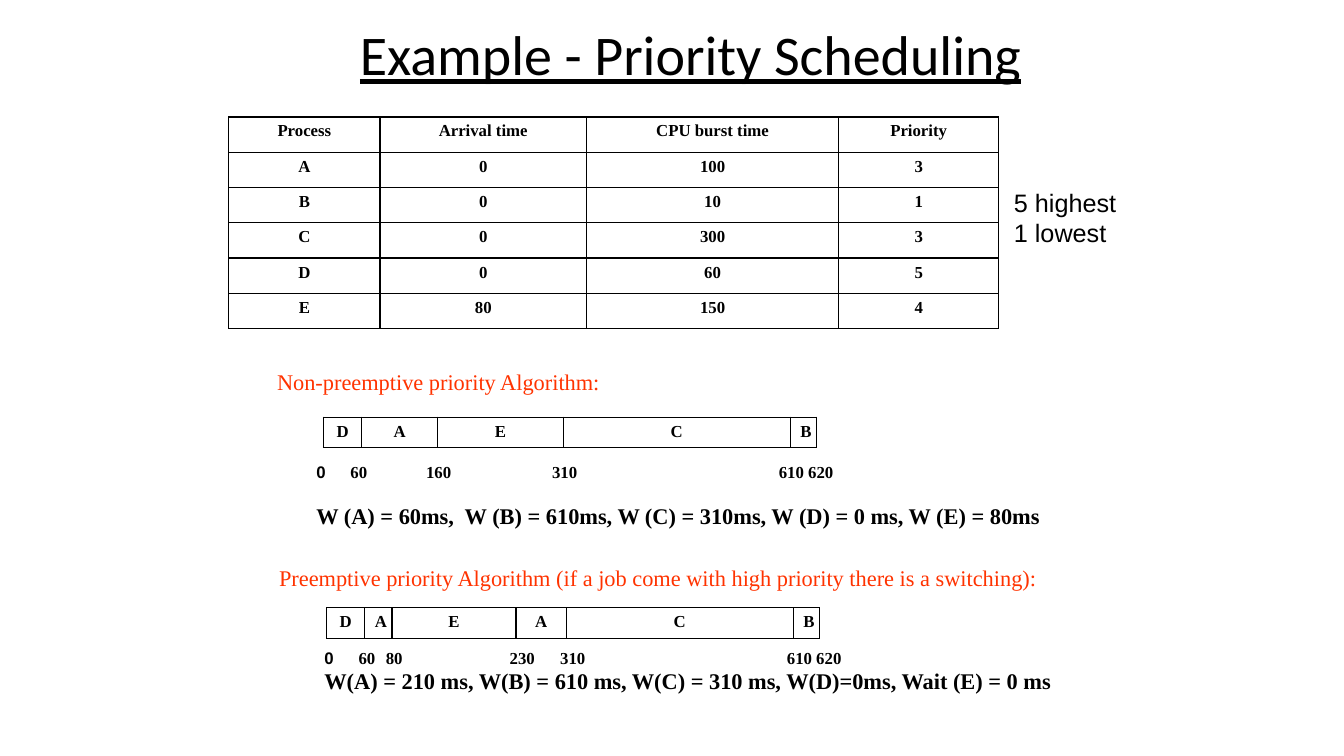
from dataclasses import dataclass
from itertools import accumulate

from lxml.etree import SubElement
from pptx import Presentation
from pptx.dml.color import RGBColor
from pptx.enum.text import MSO_ANCHOR, PP_ALIGN
from pptx.oxml.ns import qn
from pptx.util import Inches, Pt


@dataclass(frozen=True)
class Theme:
    ink: str = "000000"
    accent: str = "FF3300"
    title_font: str = "Calibri"
    body_font: str = "Times New Roman"
    note_font: str = "Arial"
    title_size: int = 40
    note_size: int = 18
    body_size: int = 16
    cell_size: int = 12
    border_width: int = 1


class SlideBuilder:
    """Places elements on a grid of 80 columns by 45 rows."""

    COLUMNS, ROWS = 80, 45

    def __init__(self, deck, theme):
        self.theme = theme
        self.slide = deck.slides.add_slide(deck.slide_layouts[6])
        self.column = deck.slide_width / self.COLUMNS
        self.row = deck.slide_height / self.ROWS

    def area(self, left, top, width, height):
        return (round(left * self.column), round(top * self.row),
                round(width * self.column), round(height * self.row))

    def style(self, paragraph, size, name=None, color=None, bold=False):
        font = paragraph.font
        font.size, font.bold = Pt(size), bold
        font.color.rgb = RGBColor.from_string(color or self.theme.ink)
        if name:
            font.name = name

    def frame(self, place, anchor=MSO_ANCHOR.MIDDLE, wrap=True):
        frame = self.slide.shapes.add_textbox(*self.area(*place)).text_frame
        frame.word_wrap = wrap
        frame.vertical_anchor = anchor
        return frame

    def title(self, text, place):
        heading = self.frame(place).paragraphs[0]
        heading.text = text
        heading.alignment = PP_ALIGN.CENTER
        self.style(heading, self.theme.title_size, self.theme.title_font)
        heading.font.underline = True

    def heading(self, text, place):
        heading = self.frame(place).paragraphs[0]
        heading.text = text
        self.style(heading, self.theme.body_size, self.theme.body_font,
                   self.theme.accent)

    def note(self, lines, place):
        frame = self.frame(place, MSO_ANCHOR.TOP, wrap=False)
        frame.text = "\n".join(lines)
        for line in frame.paragraphs:
            self.style(line, self.theme.note_size, self.theme.note_font)

    def table(self, rows, left, top, widths, row_height):
        place = self.area(left, top, sum(widths), row_height * len(rows))
        grid = self.slide.shapes.add_table(len(rows), len(widths), *place).table
        grid.first_row = grid.horz_banding = False
        for column, width in zip(grid.columns, widths):
            column.width = round(width * self.column)
        for row, values in zip(grid.rows, rows):
            row.height = round(row_height * self.row)
            for cell, value in zip(row.cells, values):
                self.cell(cell, value)

    def cell(self, cell, value):
        # Borders come before the fill in the cell properties
        properties = cell._tc.get_or_add_tcPr()
        for side in ("a:lnL", "a:lnR", "a:lnT", "a:lnB"):
            line = SubElement(properties, qn(side),
                              w=str(Pt(self.theme.border_width)))
            fill = SubElement(line, qn("a:solidFill"))
            SubElement(fill, qn("a:srgbClr"), val=self.theme.ink)
        cell.fill.background()
        label = cell.text_frame.paragraphs[0]
        label.text = value
        label.alignment = PP_ALIGN.CENTER
        self.style(label, self.theme.cell_size, self.theme.body_font, bold=True)

    def schedule(self, jobs, widths, times, waits, bar, caption, gap=0):
        """Gantt bar, its time scale on tab stops, and the waiting times."""
        self.table([jobs], *bar, widths, row_height=1.8)
        frame = self.frame(caption)
        scale = frame.paragraphs[0]
        tabs = SubElement(scale._p.get_or_add_pPr(), qn("a:tabLst"))
        for end in list(accumulate(widths))[:-1]:
            stop = round((end - 0.25) * self.column)
            SubElement(tabs, qn("a:tab"), pos=str(stop), algn="l")
        self.style(scale, self.theme.cell_size, bold=True)
        start, later = scale.add_run(), scale.add_run()
        start.text, start.font.name = "0", self.theme.note_font
        later.text = "".join("\t" + time for time in times)
        later.font.name = self.theme.body_font

        waiting = frame.add_paragraph()
        waiting.text = waits
        waiting.space_before = Pt(gap)
        self.style(waiting, self.theme.body_size, self.theme.body_font, bold=True)


def main():
    deck = Presentation()
    deck.slide_width, deck.slide_height = Inches(13.33), Inches(7.5)
    page = SlideBuilder(deck, Theme())

    # Title and process table
    page.title("Example - Priority Scheduling", (17.16, 0.42, 47.88, 5.52))
    processes = [
        ("Process", "Arrival time", "CPU burst time", "Priority"),
        ("A", "0", "100", "3"),
        ("B", "0", "10", "1"),
        ("C", "0", "300", "3"),
        ("D", "0", "60", "5"),
        ("E", "80", "150", "4"),
    ]
    page.table(processes, 13.62, 6.96, (9, 12.3, 15, 9.54), row_height=2.1)
    page.note(("5 highest", "1 lowest"), (59.76, 10.86, 7.38, 4.26))

    # Non-preemptive schedule
    page.heading("Non-preemptive priority Algorithm:", (15.9, 21.6, 22.62, 2.22))
    page.schedule(
        "DAECB", (2.28, 4.5, 7.5, 13.5, 1.56), ("60", "160", "310", "610 620"),
        "W (A) = 60ms,  W (B) = 610ms, W (C) = 310ms, W (D) = 0 ms, W (E) = 80ms",
        bar=(19.26, 24.84), caption=(18.24, 27.18, 45.18, 4.62), gap=14)

    # Preemptive schedule
    page.heading("Preemptive priority Algorithm (if a job come with high priority "
                 "there is a switching):", (16.02, 33.24, 52.08, 2.22))
    page.schedule(
        "DAEACB", (2.28, 1.62, 7.38, 3, 13.5, 1.56),
        ("60", "80", "230", "310", "610 620"),
        "W(A) = 210 ms, W(B) = 610 ms, W(C) = 310 ms, W(D)=0ms, Wait (E) = 0 ms",
        bar=(19.44, 36.18), caption=(18.72, 38.22, 49.38, 3.42))

    deck.save("out.pptx")


if __name__ == "__main__":
    main()
